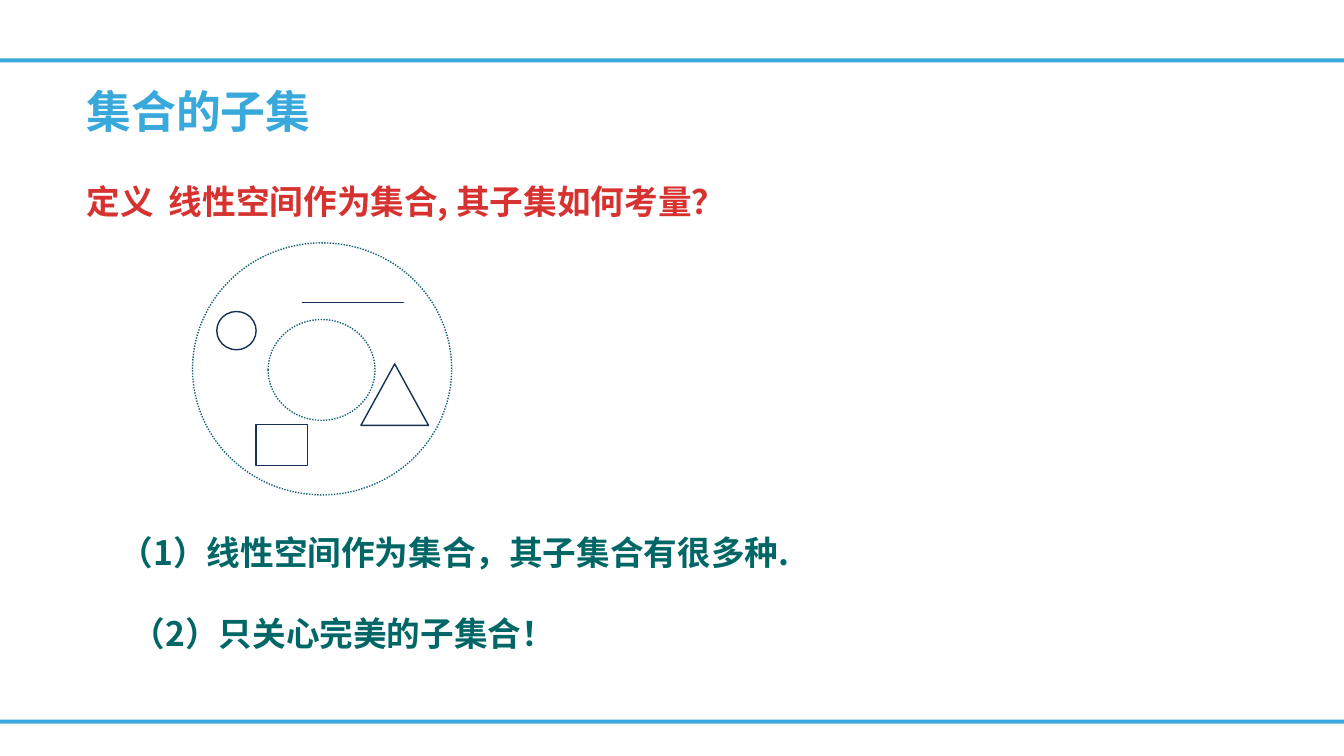
from dataclasses import dataclass

from lxml.etree import SubElement
from pptx import Presentation
from pptx.dml.color import RGBColor
from pptx.enum.dml import MSO_LINE
from pptx.enum.shapes import MSO_SHAPE
from pptx.enum.text import MSO_ANCHOR
from pptx.oxml.ns import qn
from pptx.shapes.autoshape import Shape
from pptx.slide import Slide
from pptx.util import Inches, Pt

FONT = "Noto Sans CJK SC"
COLORS = {
    "blue": "39A9DB",
    "red": "D63230",
    "green": "006666",
    "teal": "186374",
    "navy": "153154",
}
SLIDE_W, SLIDE_H = 13.33, 7.5
BAR_TOPS = (0.58, 7.14)
BAR_H = 0.04
CURVE_STEPS = 5

Point = tuple[float, float]


@dataclass(frozen=True)
class Box:
    left: float
    top: float
    width: float
    height: float


@dataclass(frozen=True)
class Label:
    text: str
    box: Box
    color: str
    size: int = 24
    spacing: float = 1.2
    indent: float = 0
    anchor: MSO_ANCHOR = MSO_ANCHOR.TOP


@dataclass(frozen=True)
class Outline:
    kind: MSO_SHAPE
    box: Box
    color: str = "navy"
    dotted: bool = False


LABELS = (
    Label("集合的子集", Box(0.76, 0.63, 6.99, 0.79), "blue",
          size=32, spacing=0.9, anchor=MSO_ANCHOR.BOTTOM),
    Label("定义  线性空间作为集合, 其子集如何考量？", Box(0.76, 1.67, 8.27, 0.54), "red"),
    Label("（1）线性空间作为集合，其子集合有很多种.", Box(0.69, 5.15, 7.4, 0.59),
          "green", indent=0.4),
    Label("（2）只关心完美的子集合！", Box(0.81, 5.95, 8.07, 0.54),
          "green", indent=0.4),
)

OUTLINES = (
    Outline(MSO_SHAPE.OVAL, Box(1.91, 2.41, 2.57, 2.5), "teal", dotted=True),
    Outline(MSO_SHAPE.OVAL, Box(2.66, 3.17, 1.06, 1), "teal", dotted=True),
    Outline(MSO_SHAPE.RECTANGLE, Box(2.54, 4.21, 0.51, 0.41)),
    Outline(MSO_SHAPE.ISOSCELES_TRIANGLE, Box(3.58, 3.61, 0.67, 0.61)),
    Outline(MSO_SHAPE.OVAL, Box(2.15, 3.09, 0.39, 0.38)),
)

BLOB_START = (3.03, 2.78)
BLOB_CURVES = (
    ((3.05, 2.81), (3.06, 2.85), (3.08, 2.87)),
    ((3.1, 2.89), (3.12, 2.9), (3.14, 2.92)),
    ((3.15, 2.93), (3.16, 2.94), (3.17, 2.94)),
    ((3.23, 2.96), (3.2, 2.95), (3.27, 2.97)),
    ((3.29, 2.97), (3.31, 2.98), (3.32, 2.99)),
    ((3.34, 3), (3.35, 3.01), (3.37, 3.02)),
    ((3.41, 3.05), (3.41, 3.05), (3.44, 3.06)),
    ((3.46, 3.06), (3.48, 3.05), (3.5, 3.05)),
    ((3.54, 3.04), (3.58, 3.05), (3.61, 3.04)),
    ((3.63, 3.03), (3.64, 2.97), (3.65, 2.94)),
    ((3.65, 2.86), (3.66, 2.78), (3.64, 2.71)),
    ((3.63, 2.68), (3.58, 2.66), (3.55, 2.65)),
    ((3.4, 2.66), (3.26, 2.65), (3.11, 2.67)),
    ((3.1, 2.68), (3.11, 2.7), (3.1, 2.72)),
    ((3.1, 2.74), (3.1, 2.76), (3.09, 2.78)),
    ((3.09, 2.79), (3.04, 2.78), (3.03, 2.78)),
)


def rgb(name: str) -> RGBColor:
    return RGBColor.from_string(COLORS[name])


def place(box: Box) -> tuple[int, int, int, int]:
    return Inches(box.left), Inches(box.top), Inches(box.width), Inches(box.height)


def add_bar(s: Slide, top: float) -> None:
    sp = s.shapes.add_shape(MSO_SHAPE.RECTANGLE, *place(Box(0, top, SLIDE_W, BAR_H)))
    sp.shadow.inherit = False
    sp.fill.solid()
    sp.fill.fore_color.rgb = rgb("blue")
    sp.line.fill.background()


def add_label(s: Slide, label: Label) -> None:
    tf = s.shapes.add_textbox(*place(label.box)).text_frame
    tf.word_wrap = True
    tf.vertical_anchor = label.anchor
    tf.text = label.text
    p = tf.paragraphs[0]
    p.line_spacing = label.spacing
    if label.indent:
        p._p.get_or_add_pPr().set("marL", str(Inches(label.indent)))
    r = p.runs[0]
    r.font.name = FONT
    r.font.size = Pt(label.size)
    r.font.bold = True
    r.font.color.rgb = rgb(label.color)
    SubElement(r.font._element, qn("a:ea")).set("typeface", FONT)


def style_outline(sp: Shape, color: str, dotted: bool = False) -> None:
    sp.shadow.inherit = False
    sp.fill.background()
    sp.line.color.rgb = rgb(color)
    sp.line.width = Pt(1)
    if dotted:
        sp.line.dash_style = MSO_LINE.ROUND_DOT


def add_outline(s: Slide, outline: Outline) -> None:
    sp = s.shapes.add_shape(outline.kind, *place(outline.box))
    style_outline(sp, outline.color, outline.dotted)


def bezier(a: Point, b: Point, c: Point, d: Point, t: float) -> Point:
    u = 1 - t
    x, y = (
        u**3 * i + 3 * u**2 * t * j + 3 * u * t**2 * k + t**3 * m
        for i, j, k, m in zip(a, b, c, d)
    )
    return x, y


def add_blob(s: Slide) -> None:
    points: list[Point] = []
    start = BLOB_START
    for b, c, d in BLOB_CURVES:
        points += [bezier(start, b, c, d, i / CURVE_STEPS)
                   for i in range(1, CURVE_STEPS + 1)]
        start = d
    builder = s.shapes.build_freeform(*BLOB_START, scale=Inches(1))
    builder.add_line_segments(points, close=True)
    style_outline(builder.convert_to_shape(), "navy")


def main() -> None:
    prs = Presentation()
    prs.slide_width, prs.slide_height = Inches(SLIDE_W), Inches(SLIDE_H)
    s = prs.slides.add_slide(prs.slide_layouts[6])
    for top in BAR_TOPS:
        add_bar(s, top)
    for label in LABELS:
        add_label(s, label)
    for outline in OUTLINES:
        add_outline(s, outline)
    add_blob(s)
    prs.save("out.pptx")


if __name__ == "__main__":
    main()
